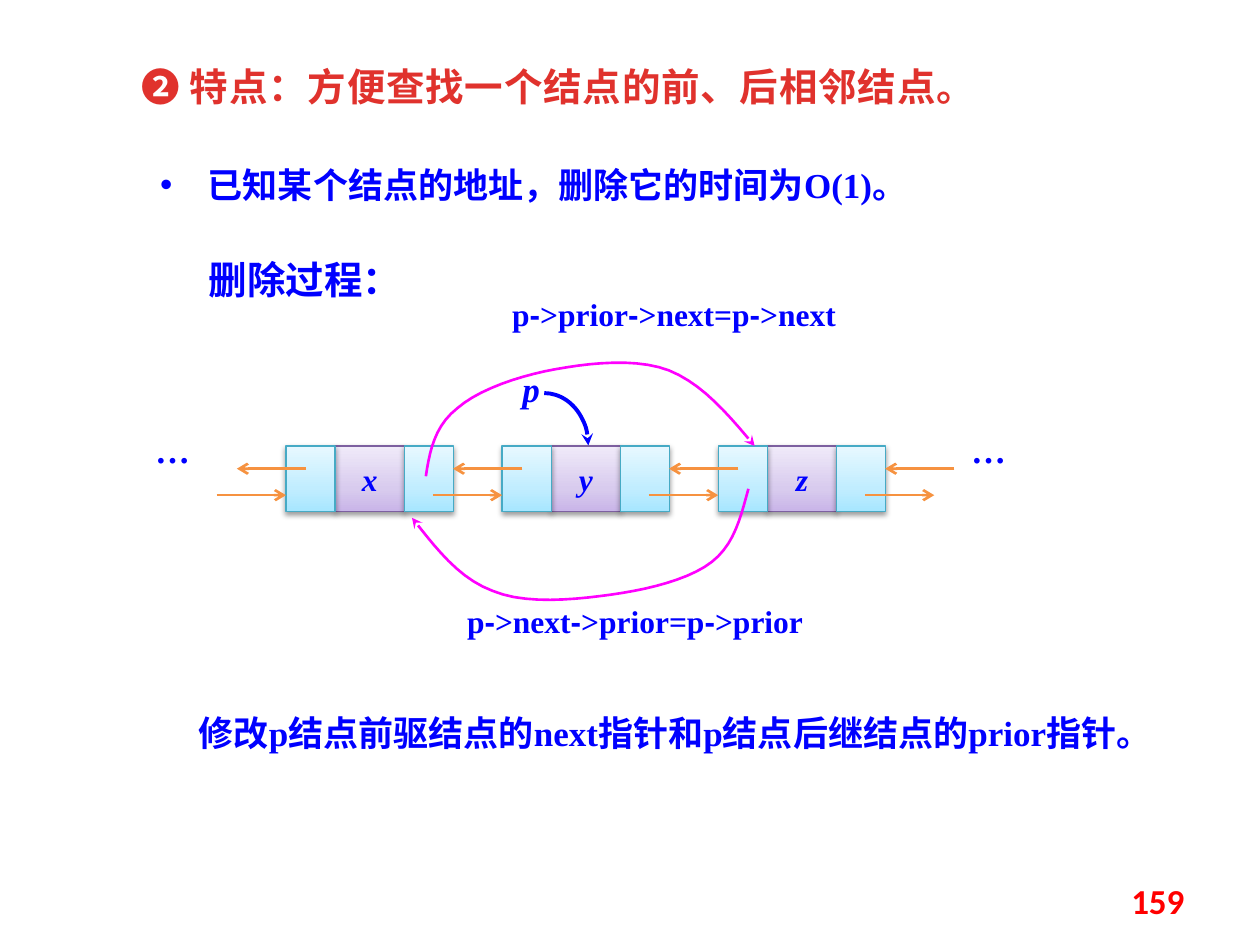
"""Build a slide on deleting a node from a doubly linked list."""
from lxml.etree import SubElement
from pptx import Presentation
from pptx.dml.color import RGBColor
from pptx.enum.shapes import MSO_CONNECTOR, MSO_SHAPE
from pptx.enum.text import MSO_ANCHOR, PP_ALIGN, MSO_AUTO_SIZE as AutoSize
from pptx.oxml.ns import qn
from pptx.util import Inches, Pt

BLUE = RGBColor(0x00, 0x00, 0xFF)
RED = RGBColor(0xFF, 0x00, 0x00)
TITLE_RED = RGBColor(0xE0, 0x32, 0x2D)
ORANGE = RGBColor(0xF6, 0x92, 0x40)
MAGENTA = RGBColor(0xFF, 0x00, 0xFF)
PURPLE_EDGE = RGBColor(0x7D, 0x60, 0xA0)
CYAN_EDGE = RGBColor(0x46, 0xAA, 0xC5)
PURPLE_STOPS = [(0, "C9B5E8"), (35, "D8CBEE"), (100, "F0EAF9")]
CYAN_STOPS = [(0, "A7E6FF"), (35, "C1EDFF"), (100, "E7F8FF")]
SERIF, SANS, CJK = "Times New Roman", "Arial", "Noto Sans CJK SC"

TITLE = "❷ 特点：方便查找一个结点的前、后相邻结点。"
BULLET = "已知某个结点的地址，删除它的时间为O(1)。"
LABELS = [
    ("删除过程：", (1.56, 1.98, 1.88, 0.47), 22, PP_ALIGN.LEFT, SERIF),
    ("…", (1.02, 3.44, 0.7, 0.55), 20, PP_ALIGN.CENTER, CJK),
    ("…", (7.5, 3.44, 0.7, 0.55), 20, PP_ALIGN.CENTER, CJK),
    ("p->prior->next=p->next", (3.75, 2.29, 3.2, 0.43), 18, PP_ALIGN.CENTER, SERIF),
    ("p->next->prior=p->prior", (3.44, 4.73, 3.2, 0.43), 18, PP_ALIGN.CENTER, SERIF),
    ("修改p结点前驱结点的next指针和p结点后继结点的prior指针。",
     (1.48, 5.6, 7.5, 0.47), 20, PP_ALIGN.LEFT, SERIF),
]
NODES = ["x", "y", "z"]
NODE_LEFT, NODE_TOP, NODE_HEIGHT, PITCH = 2.27, 3.54, 0.52, 1.715
LINK_WIDTH, DATA_WIDTH = 0.39, 0.55
ARROW_LENGTH = 0.55
NEXT_CURVE = [(3.38, 3.78), (3.41, 3.58), (3.45, 3.38), (3.63, 3.24),
              (3.8, 3.09), (4.13, 2.98), (4.41, 2.93),
              (4.69, 2.88), (5.05, 2.84), (5.31, 2.94),
              (5.58, 3.05), (5.78, 3.29), (5.99, 3.54)]
PRIOR_CURVE = [(5.94, 3.88), (5.88, 4.1), (5.83, 4.32), (5.65, 4.46),
               (5.47, 4.6), (5.14, 4.68), (4.85, 4.72),
               (4.56, 4.76), (4.17, 4.8), (3.91, 4.69),
               (3.64, 4.59), (3.46, 4.35), (3.27, 4.11)]
CURVE_STEPS = 10


def style_span(span, size, color=BLUE, font=SERIF, italic=False):
    span.font.size, span.font.bold, span.font.italic = Pt(size), True, italic
    span.font.color.rgb, span.font.name = color, font
    SubElement(span.font._element, qn("a:ea"), typeface=CJK)


def place(box, area):
    box.left, box.top, box.width, box.height = map(Inches, area)


def fill_placeholder(box, text, area, size, color):
    place(box, area)
    frame = box.text_frame
    frame.text, frame.word_wrap = text, True
    frame.auto_size, frame.vertical_anchor = AutoSize.NONE, MSO_ANCHOR.TOP
    para = frame.paragraphs[0]
    para.alignment, para.space_before = PP_ALIGN.LEFT, Pt(0)
    style_span(para.runs[0], size, color)
    return para


def add_label(page, text, area, size, align, font=SERIF, color=BLUE, italic=False):
    box = page.shapes.add_textbox(*map(Inches, area))
    frame = box.text_frame
    frame.word_wrap = True
    para = frame.paragraphs[0]
    para.alignment = align
    for piece in text.replace("-", "\t-\t").split("\t"):
        span = para.add_run()
        span.text = piece
        style_span(span, size, color, SANS if piece == "-" else font, italic)
    return frame


def style_line(shape, color, width, head):
    shape.line.color.rgb, shape.line.width = color, Pt(width)
    SubElement(shape.line._get_or_add_ln(), qn("a:tailEnd"), type=head)


def add_cell(page, left, width, stops, edge):
    cell = page.shapes.add_shape(
        MSO_SHAPE.RECTANGLE, *map(Inches, (left, NODE_TOP, width, NODE_HEIGHT)))
    cell.fill.gradient()
    cell.fill.gradient_angle = 90
    stop_list = cell._element.spPr.find(".//" + qn("a:gsLst"))
    for stop in list(stop_list):
        stop_list.remove(stop)
    for percent, color in stops:
        stop = SubElement(stop_list, qn("a:gs"), pos=str(percent * 1000))
        SubElement(stop, qn("a:srgbClr"), val=color)
    cell.line.color.rgb, cell.line.width = edge, Pt(0.75)
    cell.shadow.inherit = False
    effects = cell._element.spPr.find(qn("a:effectLst"))
    shadow = SubElement(effects, qn("a:outerShdw"), blurRad=str(Pt(3.1)),
                        dist=str(Pt(1.6)), dir="5400000", rotWithShape="0")
    tint = SubElement(shadow, qn("a:srgbClr"), val="000000")
    SubElement(tint, qn("a:alpha"), val="38000")
    return cell


def add_node(page, name, left):
    data = add_cell(page, left + LINK_WIDTH, DATA_WIDTH, PURPLE_STOPS, PURPLE_EDGE)
    for offset in (LINK_WIDTH + DATA_WIDTH, 0):
        add_cell(page, left + offset, LINK_WIDTH, CYAN_STOPS, CYAN_EDGE)
    frame = data.text_frame
    frame.text, frame.vertical_anchor = name, MSO_ANCHOR.MIDDLE
    frame.paragraphs[0].alignment = PP_ALIGN.CENTER
    style_span(frame.paragraphs[0].runs[0], 18, italic=True)


def add_arrow(page, start, end, y):
    arrow = page.shapes.add_connector(
        MSO_CONNECTOR.STRAIGHT, *map(Inches, (start, y, end, y)))
    style_line(arrow, ORANGE, 1.5, "arrow")
    SubElement(arrow._element.spPr, qn("a:effectLst"))


def bezier(controls, t):
    weights = ((1 - t) ** 3, 3 * t * (1 - t) ** 2, 3 * t * t * (1 - t), t ** 3)
    return tuple(Inches(sum(w * point[axis] for w, point in zip(weights, controls)))
                 for axis in (0, 1))


def add_curve(page, controls):
    points = [bezier(controls[i:i + 4], step / CURVE_STEPS)
              for i in range(0, len(controls) - 1, 3)
              for step in range(1, CURVE_STEPS + 1)]
    builder = page.shapes.build_freeform(*map(Inches, controls[0]))
    builder.add_line_segments(points, close=False)
    curve = builder.convert_to_shape()
    curve.fill.background()
    style_line(curve, MAGENTA, 1.5, "stealth")
    curve.shadow.inherit = False


def main():
    deck = Presentation()
    deck.slide_width, deck.slide_height = Inches(10), Inches(7.5)
    page = deck.slides.add_slide(deck.slide_layouts[1])

    title = fill_placeholder(page.shapes.title, TITLE, (1.02, 0.45, 7.03, 0.51), 22, TITLE_RED)
    title.runs[0].font._element.set("spc", "50")
    item = fill_placeholder(page.placeholders[1], BULLET, (1.17, 1.25, 6.25, 0.47), 20, BLUE)
    layout = item._p.get_or_add_pPr()
    layout.set("marL", str(Inches(0.38)))
    layout.set("indent", str(Inches(-0.38)))
    SubElement(layout, qn("a:buFont"), typeface=SANS)
    SubElement(layout, qn("a:buChar"), char="•")

    for index, name in enumerate(NODES):
        add_node(page, name, NODE_LEFT + index * PITCH)
    for index in range(len(NODES) + 1):
        left = NODE_LEFT + index * PITCH
        add_arrow(page, left - ARROW_LENGTH, left, 3.93)
        add_arrow(page, left + 0.16, left + 0.16 - ARROW_LENGTH, 3.72)

    pointer = page.shapes.add_shape(MSO_SHAPE.ARC, *map(Inches, (3.97, 3.12, 0.7, 0.83)))
    pointer.fill.background()
    style_line(pointer, BLUE, 2.25, "stealth")
    pointer.shadow.inherit = False
    frame = add_label(page, "p", (4.06, 2.92, 0.31, 0.37), 20, PP_ALIGN.CENTER, italic=True)
    frame.margin_left = frame.margin_right = frame.margin_top = frame.margin_bottom = 0

    for controls in (NEXT_CURVE, PRIOR_CURVE):
        add_curve(page, controls)
    for label in LABELS:
        add_label(page, *label)
    number = add_label(page, "159", (7.17, 6.95, 2.33, 0.4), 20, PP_ALIGN.RIGHT, "Calibri", RED)
    number.vertical_anchor = MSO_ANCHOR.MIDDLE
    deck.save("out.pptx")


if __name__ == "__main__":
    main()
